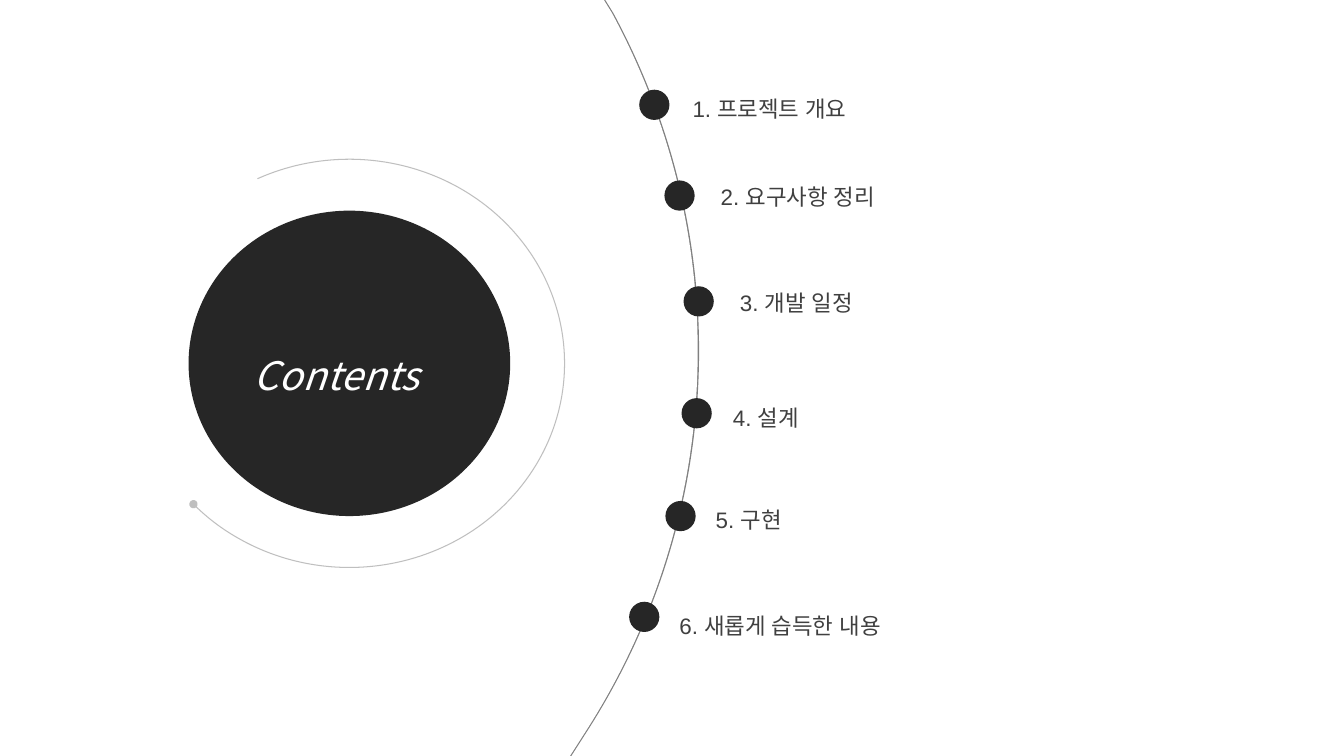
from pptx import Presentation
from pptx.dml.color import RGBColor
from pptx.enum.shapes import MSO_SHAPE
from pptx.enum.text import MSO_AUTO_SIZE, PP_ALIGN
from pptx.oxml.ns import qn
from pptx.util import Inches, Pt
from lxml.etree import SubElement

# Content: label, dot position, label box (left, top, height)
TITLE = "Contents"
ITEMS = [
    ("1. 프로젝트 개요", (6.34, 0.89), (6.77, 0.76, 0.45)),
    ("2. 요구사항 정리", (6.59, 1.79), (7.05, 1.63, 0.5)),
    ("3. 개발 일정", (6.78, 2.84), (7.24, 2.69, 0.5)),
    ("4. 설계", (6.76, 3.95), (7.17, 3.83, 0.5)),
    ("5. 구현", (6.6, 4.97), (7, 4.84, 0.5)),
    ("6. 새롭게 습득한 내용", (6.24, 5.97), (6.64, 5.89, 0.45)),
]

THEME = dict(
    dark="262626", text="404040", white="FFFFFF", ring="BFBFBF", edge="808080",
    title_size=28, item_size=16, latin="Arial", korean="Noto Sans CJK KR",
)

# Large panel: corner points, and the Bezier handles that lead to some of them
PANEL = [(0.31, 0), (5.99, 0), (6.07, 0.13), (6.92, 3.48), (5.8, 7.27),
         (5.64, 7.52), (0.31, 7.52)]
HANDLES = {
    3: [(6.61, 1.13), (6.92, 2.27)],
    4: [(6.92, 4.87), (6.51, 6.17)],
}
DOT = 0.3
LABEL_WIDTH = 5.02


def color(name):
    return RGBColor.from_string(THEME[name])


def add_text(shapes, text, x, y, w, h, *, size, fill, font, align=None, italic=None):
    tb = shapes.add_textbox(Inches(x), Inches(y), Inches(w), Inches(h))
    tf = tb.text_frame
    tf.word_wrap = True
    tf.auto_size = MSO_AUTO_SIZE.SHAPE_TO_FIT_TEXT
    p = tf.paragraphs[0]
    p.alignment = align
    p.line_spacing = 1.5
    r = p.add_run()
    r.text = text
    r.font.size = Pt(THEME[size])
    r.font.color.rgb = color(fill)
    r.font.name = THEME[font]
    r.font.italic = italic
    SubElement(r.font._element, qn("a:ea")).set("typeface", THEME[font])


def add_disc(shapes, x, y, w, h):
    sp = shapes.add_shape(MSO_SHAPE.OVAL, Inches(x), Inches(y), Inches(w), Inches(h))
    sp.shadow.inherit = False
    sp.fill.solid()
    sp.fill.fore_color.rgb = color("dark")
    sp.line.fill.background()


prs = Presentation()
prs.slide_width, prs.slide_height = Inches(13.33), Inches(7.5)
s = prs.slides.add_slide(prs.slide_layouts[6])

# White panel with a curved right side
(left, top), *corners = PANEL
fb = s.shapes.build_freeform(Inches(left), Inches(top))
fb.add_line_segments([(Inches(x), Inches(y)) for x, y in corners], close=True)
panel = fb.convert_to_shape()
segments = list(panel._element.spPr.iter(qn("a:lnTo")))
for i, handles in HANDLES.items():
    segment = segments[i - 1]
    curve = segment.getparent().makeelement(qn("a:cubicBezTo"))
    for x, y in handles:
        SubElement(curve, qn("a:pt"), x=str(Inches(x - left)), y=str(Inches(y - top)))
    curve.append(segment[0])
    segment.getparent().replace(segment, curve)
panel.fill.solid()
panel.fill.fore_color.rgb = color("white")
panel.line.fill.background()

# Its hard shadow shows as the long thin curve
panel.shadow.inherit = False
effects = panel._element.spPr.find(qn("a:effectLst"))
shadow = SubElement(effects, qn("a:outerShdw"), blurRad="0", dist=str(Pt(1)),
                    dir="0", algn="l", rotWithShape="0")
SubElement(shadow, qn("a:srgbClr"), val=THEME["edge"])

# Title disc with its ring
title = s.shapes.add_group_shape()
add_disc(title.shapes, 1.87, 2.09, 3.19, 3.03)
add_text(title.shapes, TITLE, 1.74, 3.2, 3.19, 0.72, size="title_size",
         fill="white", font="korean", align=PP_ALIGN.CENTER, italic=True)
ring = title.shapes.add_shape(MSO_SHAPE.ARC, Inches(1.33), Inches(1.58),
                              Inches(4.27), Inches(4.05))
ring.adjustments[0] = 146.13
ring.adjustments[1] = 82.73
ring.shadow.inherit = False
ring.fill.background()
ring.line.color.rgb = color("ring")
ring.line.width = Pt(0.75)
SubElement(ring.line._get_or_add_ln(), qn("a:tailEnd"), type="oval")

# Dots and labels along the curve
for label, dot, (x, y, h) in ITEMS:
    add_disc(s.shapes, *dot, DOT, DOT)
    add_text(s.shapes, label, x, y, LABEL_WIDTH, h, size="item_size",
             fill="text", font="latin")

prs.save("out.pptx")
